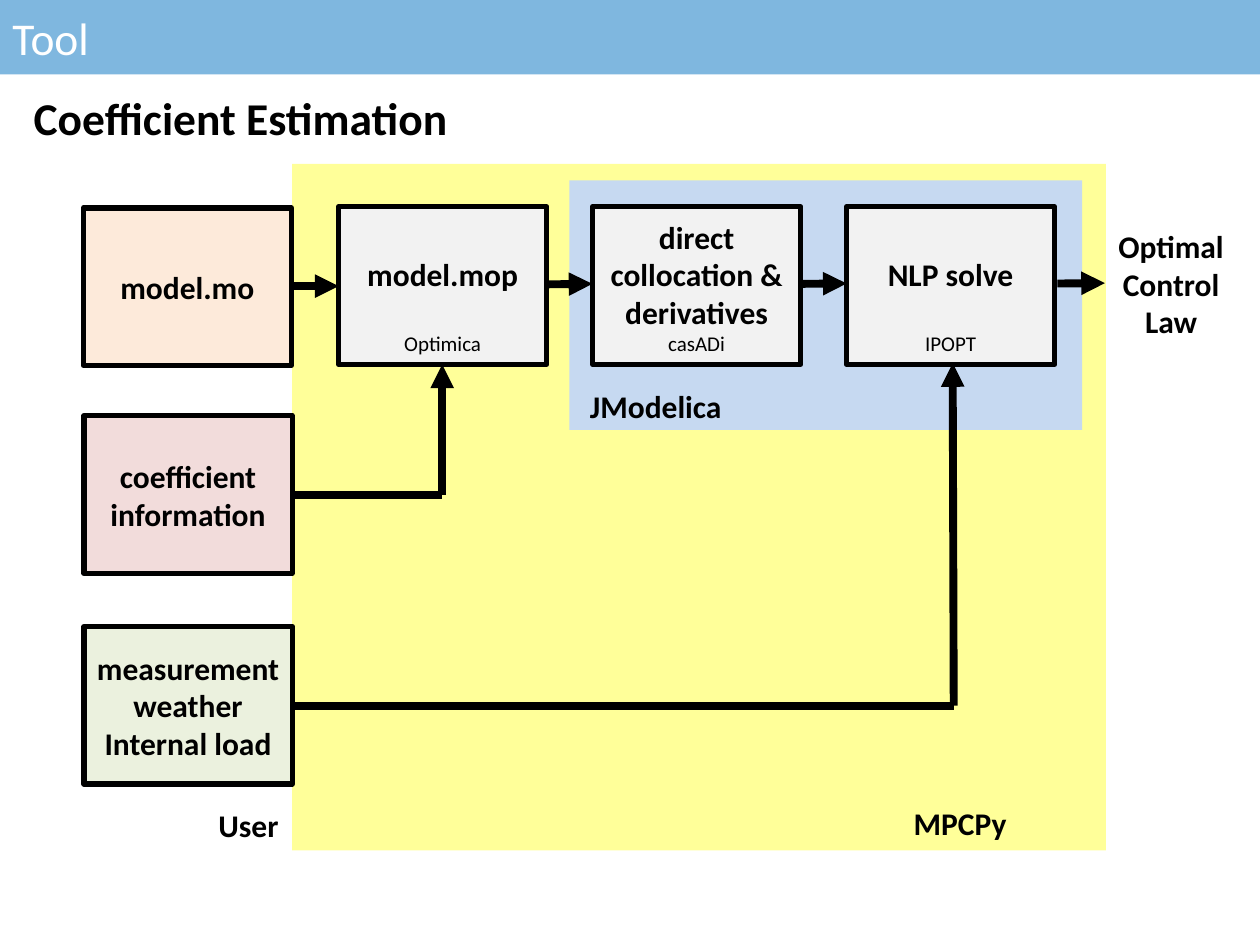
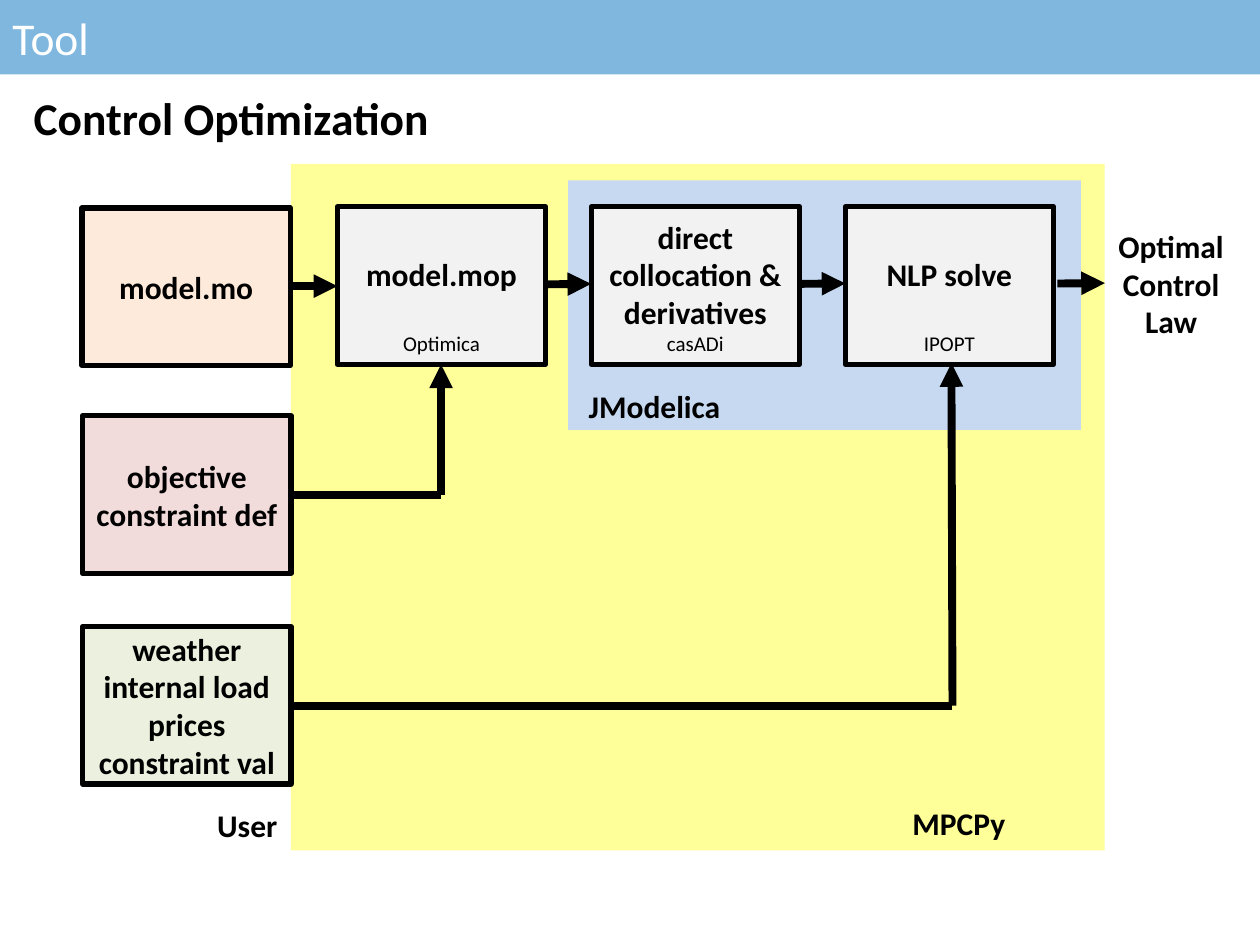
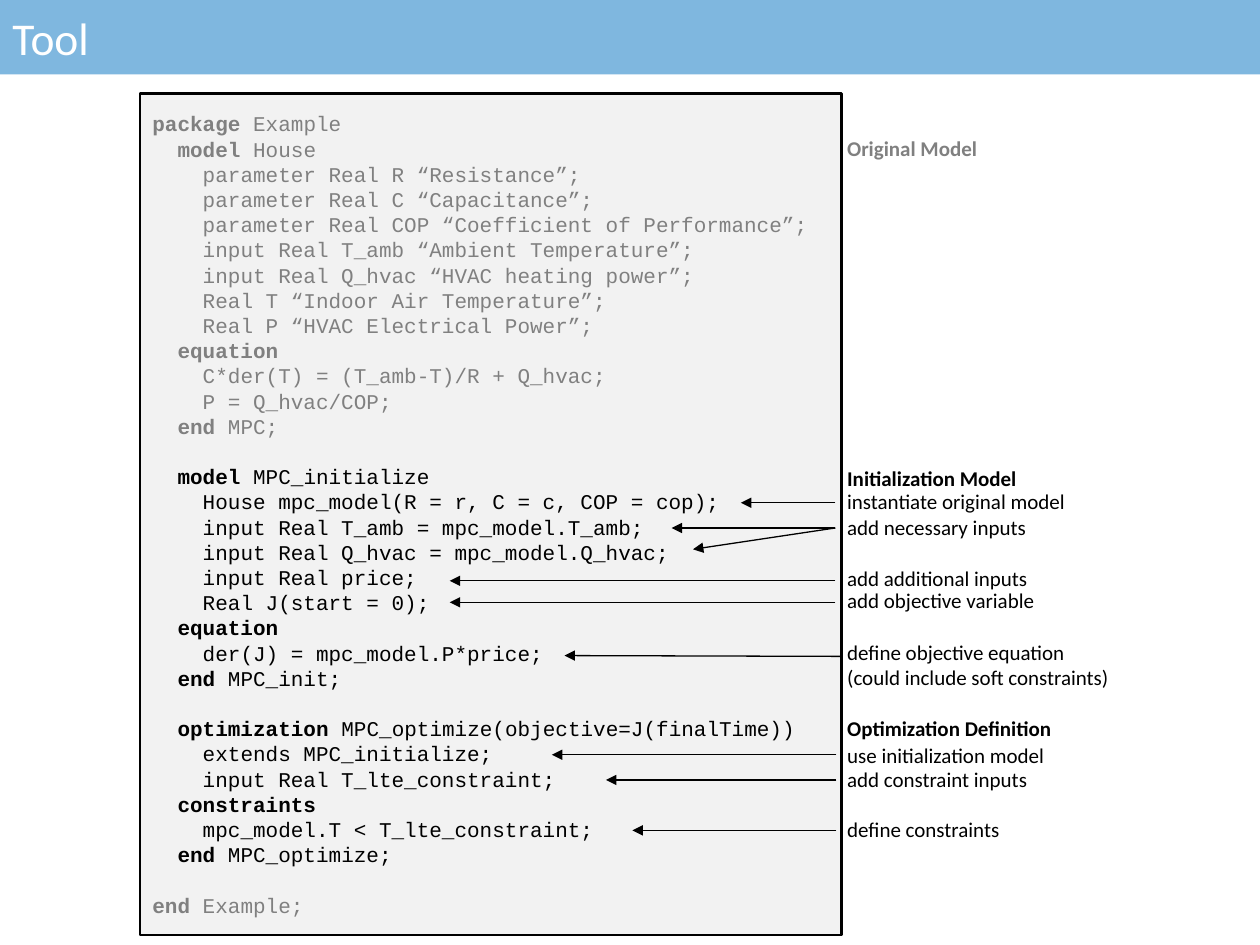
from typing import NamedTuple

from lxml.etree import SubElement
from pptx import Presentation
from pptx.dml.color import RGBColor
from pptx.enum.shapes import MSO_CONNECTOR, MSO_SHAPE
from pptx.enum.text import MSO_ANCHOR, MSO_AUTO_SIZE, PP_ALIGN
from pptx.oxml.ns import qn
from pptx.util import Pt

COLORS = {
    "black": "000000", "white": "FFFFFF", "gray": "808080", "band": "0070C0",
    "yellow": "FFFF99", "blue": "C6D9F1", "light": "F2F2F2",
    "peach": "FDEADA", "rose": "F2DCDB", "green": "EBF1DE",
}
BODY_FONT, CODE_FONT = "Calibri", "Courier New"
PAGE_WIDTH, PAGE_HEIGHT = 720, 540
BOX_WIDTH, BOX_HEIGHT = 119, 90
CODE_PITCH, CODE_CHAR = 14.4, 7.2
NOTE_LEFT = 477


class Area(NamedTuple):
    left: float
    top: float
    width: float
    height: float


class Arrow(NamedTuple):
    x1: float
    y1: float
    x2: float
    y2: float
    head: bool = True


class Step(NamedTuple):
    lines: tuple[str, ...]
    tool: str
    gap: float


class Note(NamedTuple):
    text: str
    middle: float
    width: float
    color: str = "black"
    bold: bool = False


class Diagram(NamedTuple):
    title: str
    middle_input: tuple[str, ...]
    bottom_input: tuple[str, ...]
    shift: float


# Slide content
STEPS = (
    Step(("model.mop",), "Optimica", 22),
    Step(("direct collocation &", "derivatives"), "casADi", 0),
    Step(("NLP solve",), "IPOPT", 22),
)
FLOWS = (
    Arrow(166.5, 163.5, 193.5, 163.5),
    Arrow(312, 162.5, 338.5, 162.2),
    Arrow(457.5, 162.2, 483.8, 162),
    Arrow(167, 283, 252.7, 283, False),
    Arrow(252.7, 283, 252.7, 208.3),
    Arrow(167, 403.2, 545, 403.2, False),
    Arrow(545, 403.2, 544.4, 207.5),
)
OUTPUT_FLOW = Arrow(604.2, 162, 631.4, 161.8)
DIAGRAMS = (
    Diagram("Coefficient Estimation", ("coefficient", "information"),
            ("measurement", "weather", "Internal load"), 0),
    Diagram("Control Optimization", ("objective", "constraint def"),
            ("weather", "internal load", "prices", "constraint val"), -0.7),
)
KEYWORDS = {"package", "model", "equation", "end", "optimization", "constraints"}
CODE = (
    ("gray", """\
package Example
  model House
    parameter Real R “Resistance”;
    parameter Real C “Capacitance”;
    parameter Real COP “Coefficient of Performance”;
    input Real T_amb “Ambient Temperature”;
    input Real Q_hvac “HVAC heating power”;
    Real T “Indoor Air Temperature”;
    Real P “HVAC Electrical Power”;
  equation
    C*der(T) = (T_amb-T)/R + Q_hvac;
    P = Q_hvac/COP;
  end MPC;"""),
    ("black", """\
  model MPC_initialize
    House mpc_model(R = r, C = c, COP = cop);
    input Real T_amb = mpc_model.T_amb;
    input Real Q_hvac = mpc_model.Q_hvac;
    input Real price;
    Real J(start = 0);
  equation
    der(J) = mpc_model.P*price;
  end MPC_init;"""),
    ("black", """\
  optimization MPC_optimize(objective=J(finalTime))
    extends MPC_initialize;
    input Real T_lte_constraint;
  constraints
    mpc_model.T < T_lte_constraint;
  end MPC_optimize;"""),
    ("gray", "end Example;"),
)
NOTES = (
    Note("Original Model", 84.6, 97, "gray", True),
    Note("Initialization Model", 273, 121, bold=True),
    Note("instantiate original model", 286.6, 147),
    Note("add necessary inputs", 301, 135),
    Note("add additional inputs", 330.5, 122),
    Note("add objective variable", 342.7, 225),
    Note("define objective equation\n(could include soft constraints)", 380, 207),
    Note("Optimization Definition", 416.3, 135, bold=True),
    Note("use initialization model", 431.3, 135),
    Note("add constraint inputs", 445, 122),
    Note("define constraints", 473.8, 112),
)
NOTE_ARROWS = (
    Arrow(477.4, 287.3, 423.4, 287.3),
    Arrow(477.4, 301.7, 383.8, 301.7),
    Arrow(477.4, 301.7, 396, 313.9),
    Arrow(477.4, 331.9, 257, 331.9),
    Arrow(477.4, 344.2, 257, 344.2),
    Arrow(481.7, 375.1, 322.6, 374.6),
    Arrow(478, 431.3, 315.4, 431.3),
    Arrow(478, 445.7, 346.3, 445.7),
    Arrow(478, 474.5, 361.4, 474.5),
)


# Drawing tools
def rgb(name: str) -> RGBColor:
    return RGBColor.from_string(COLORS[name])


def add_span(para, text: str, *, size: float = 18, color: str = "black",
             bold: bool = False, font: str = BODY_FONT) -> None:
    span = para.add_run()
    span.text = text
    span.font.size, span.font.name, span.font.bold = Pt(size), font, bold
    span.font.color.rgb = rgb(color)


def add_para(frame, text: str, *, align=PP_ALIGN.LEFT, before: float = 0, **style):
    para = frame.paragraphs[0]
    if para.runs:
        para = frame.add_paragraph()
    para.alignment = align
    para.space_before = Pt(before)
    add_span(para, text, **style)
    return para


def add_box(page, area: Area, fill: str, border: float = 0):
    box = page.shapes.add_shape(MSO_SHAPE.RECTANGLE, *map(Pt, area))
    box.shadow.inherit = False
    box.fill.solid()
    box.fill.fore_color.rgb = rgb(fill)
    if border:
        box.line.color.rgb = rgb("black")
        box.line.width = Pt(border)
    else:
        box.line.fill.background()
    box.text_frame.word_wrap = True
    box.text_frame.vertical_anchor = MSO_ANCHOR.MIDDLE
    return box


def add_label(page, area: Area, lines: tuple[str, ...], *, wrap: bool = False,
              grow: bool = True, anchor=MSO_ANCHOR.TOP, **style) -> None:
    frame = page.shapes.add_textbox(*map(Pt, area)).text_frame
    frame.word_wrap = wrap
    frame.vertical_anchor = anchor
    frame.auto_size = MSO_AUTO_SIZE.SHAPE_TO_FIT_TEXT if grow else MSO_AUTO_SIZE.NONE
    for line in lines:
        add_para(frame, line, **style)


def add_arrow(page, arrow: Arrow, width: float, shift: float = 0) -> None:
    line = page.shapes.add_connector(
        MSO_CONNECTOR.STRAIGHT, Pt(arrow.x1 + shift), Pt(arrow.y1),
        Pt(arrow.x2 + shift), Pt(arrow.y2))
    line.line.color.rgb = rgb("black")
    line.line.width = Pt(width)
    properties = line._element.spPr
    if arrow.head:
        SubElement(properties.find(qn("a:ln")), qn("a:tailEnd"), type="triangle")
    SubElement(properties, qn("a:effectLst"))


def add_band(page) -> None:
    band = add_box(page, Area(0, 0, PAGE_WIDTH, 42.5), "band")
    color = band._element.spPr.find(qn("a:solidFill")).find(qn("a:srgbClr"))
    SubElement(color, qn("a:alpha"), val="50000")
    add_para(band.text_frame, "Tool", size=26, color="white")


# Slides
def draw_diagram(page, diagram: Diagram) -> None:
    shift = diagram.shift
    # Scope panels and labels
    add_box(page, Area(167 + shift, 93.6, 465, 392.4), "yellow")
    add_box(page, Area(325.4 + shift, 103, 293, 142.6), "blue")
    add_label(page, Area(12.2, 48.2, 549.4, 39), (diagram.title,),
              wrap=True, size=26, bold=True)
    for text, left, top, width in (("JModelica", 330, 217.4, 90),
                                   ("MPCPy", 515, 455.8, 68.4),
                                   ("User", 117.7, 457.2, 49)):
        add_label(page, Area(left + shift, top, width, 29), (text,), bold=True)

    # User inputs
    inputs = (
        (47.6, 118.8, "peach", ("model.mo",)),
        (48, 237.6, "rose", diagram.middle_input),
        (48, 358, "green", diagram.bottom_input),
    )
    for left, top, fill, lines in inputs:
        box = add_box(page, Area(left + shift, top, BOX_WIDTH, BOX_HEIGHT), fill, 3)
        for line in lines:
            add_para(box.text_frame, line, align=PP_ALIGN.CENTER, bold=True)

    # Processing steps, with the tool name at the foot
    for index, step in enumerate(STEPS):
        left = 193.5 + 145.1 * index + shift
        box = add_box(page, Area(left, 118.2, BOX_WIDTH, BOX_HEIGHT), "light", 3)
        frame = box.text_frame
        frame.vertical_anchor = MSO_ANCHOR.BOTTOM
        frame.margin_bottom = Pt(4.7)
        for line in step.lines:
            add_para(frame, line, align=PP_ALIGN.CENTER, bold=True)
        add_para(frame, step.tool, align=PP_ALIGN.CENTER, before=step.gap, size=12)

    # Flows and result
    for flow in FLOWS:
        add_arrow(page, flow, 4.5, shift)
    add_arrow(page, OUTPUT_FLOW, 4.5)
    add_label(page, Area(631.4, 126, 75.6, 72.7), ("Optimal", "Control", "Law"),
              align=PP_ALIGN.CENTER, bold=True)


def draw_code(page) -> None:
    # Listing: keywords are bold, blocks are one line apart
    frame = add_box(page, Area(80, 53.3, 401, 481), "light", 1.5).text_frame
    for block, (color, source) in enumerate(CODE):
        for row, line in enumerate(source.splitlines()):
            text = line.lstrip()
            word, space, rest = text.partition(" ")
            style = dict(size=12, color=color, font=CODE_FONT)
            gap = CODE_PITCH if block and row == 0 else 0
            if word in KEYWORDS:
                para = add_para(frame, word + space, before=gap, bold=True, **style)
                if rest:
                    add_span(para, rest, **style)
            else:
                para = add_para(frame, text, before=gap, **style)
            para.line_spacing = Pt(CODE_PITCH)
            indent = Pt(CODE_CHAR * (len(line) - len(text)))
            para._p.get_or_add_pPr().set("marL", str(indent))

    # Notes and their arrows
    for note in NOTES:
        lines = tuple(note.text.split("\n"))
        height = 14.4 * len(lines)
        add_label(page, Area(NOTE_LEFT, note.middle - height / 2, note.width, height),
                  lines, wrap=True, grow=False, anchor=MSO_ANCHOR.MIDDLE,
                  size=12, color=note.color, bold=note.bold)
    for arrow in NOTE_ARROWS:
        add_arrow(page, arrow, 0.75)


def main() -> None:
    deck = Presentation()
    deck.slide_width, deck.slide_height = Pt(PAGE_WIDTH), Pt(PAGE_HEIGHT)
    blank = deck.slide_layouts[6]
    for diagram in DIAGRAMS:
        page = deck.slides.add_slide(blank)
        draw_diagram(page, diagram)
        add_band(page)
    page = deck.slides.add_slide(blank)
    draw_code(page)
    add_band(page)
    deck.save("out.pptx")


if __name__ == "__main__":
    main()
